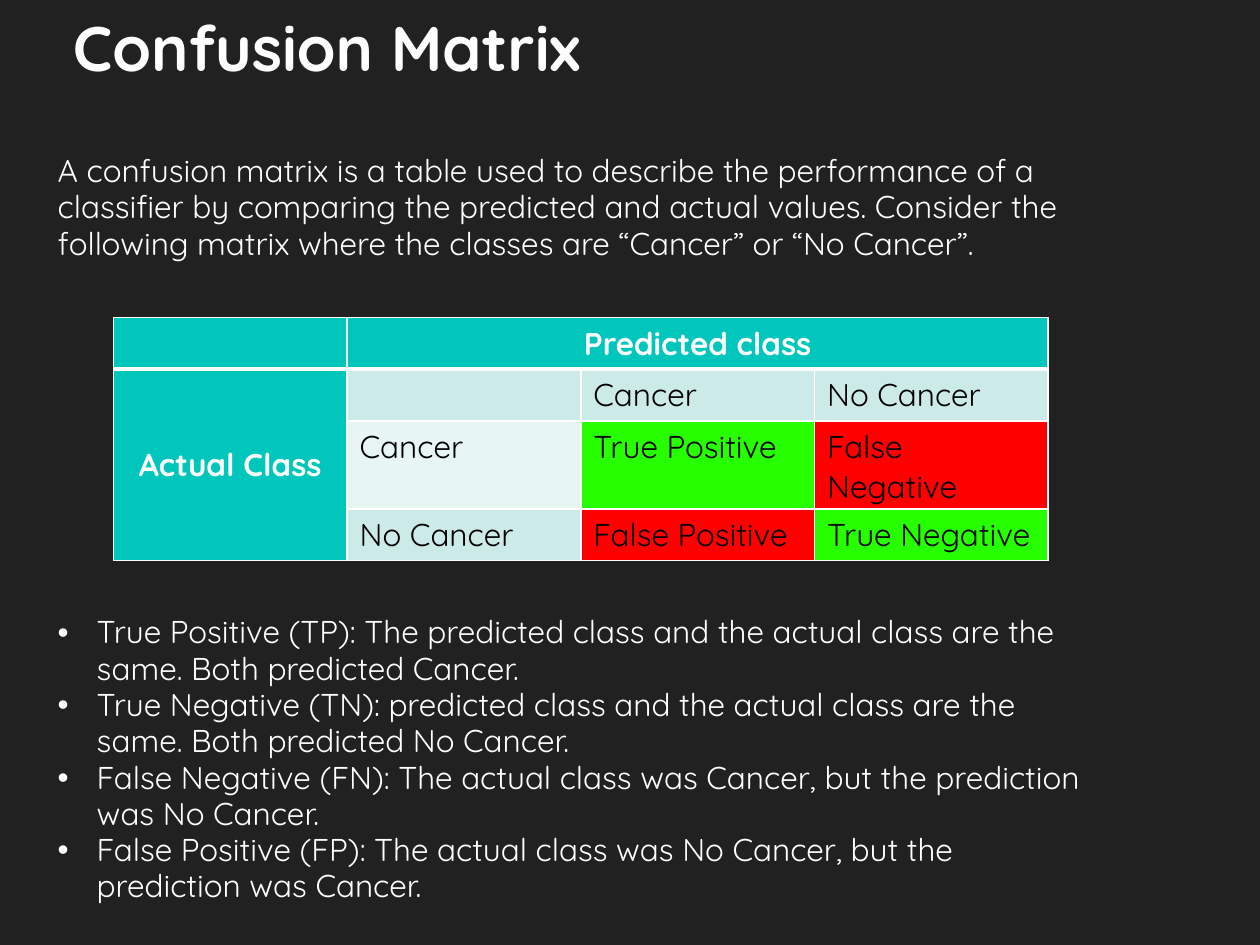
from dataclasses import dataclass

from lxml.etree import SubElement
from pptx import Presentation
from pptx.dml.color import RGBColor
from pptx.enum.text import MSO_ANCHOR as Anchor, MSO_AUTO_SIZE as AutoSize, PP_ALIGN as Align
from pptx.oxml.ns import qn
from pptx.util import Inches, Pt


@dataclass(frozen=True)
class Theme:
    """Colours, font and type sizes of the slide."""
    font: str = "Quicksand"
    background: str = "212121"
    title: str = "FEFEFE"
    light: str = "FFFFFF"
    dark: str = "000000"
    header: str = "00C6BB"
    band: str = "CCEAE7"
    pale: str = "E7F5F3"
    correct: str = "27FF00"
    wrong: str = "FF0000"
    title_size: int = 36
    body_size: int = 18


THEME = Theme()
INTRO = (
    "A confusion matrix is a table used to describe the performance of a classifier "
    "by comparing the predicted and actual values. Consider the following matrix "
    "where the classes are “Cancer” or “No Cancer”."
)
DEFINITIONS = [
    "True Positive (TP): The predicted class and the actual class are the same. "
    "Both predicted Cancer.",
    "True Negative (TN): predicted class and the actual class are the same. "
    "Both predicted No Cancer.",
    "False Negative (FN): The actual class was Cancer, but the prediction was No Cancer.",
    "False Positive (FP): The actual class was No Cancer, but the prediction was Cancer.",
]
MATRIX = [
    [("", THEME.header), ("Predicted class", THEME.header),
     ("", THEME.header), ("", THEME.header)],
    [("Actual Class", THEME.header), ("", THEME.band),
     ("Cancer", THEME.band), ("No Cancer", THEME.band)],
    [("", THEME.header), ("Cancer", THEME.pale),
     ("True Positive", THEME.correct), ("False Negative", THEME.wrong)],
    [("", THEME.header), ("No Cancer", THEME.band),
     ("False Positive", THEME.wrong), ("True Negative", THEME.correct)],
]


def add_run(paragraph, text, color, size=THEME.body_size, bold=False):
    """Add one formatted run and return it."""
    run = paragraph.add_run()
    run.text = text
    run.font.name = THEME.font
    run.font.size = Pt(size)
    run.font.bold = bold
    run.font.color.rgb = RGBColor.from_string(color)
    return run


def add_frame(slide, left, top, width, height):
    """Add a wrapping text box and return its text frame."""
    frame = slide.shapes.add_textbox(
        Inches(left), Inches(top), Inches(width), Inches(height)).text_frame
    frame.word_wrap = True
    return frame


def add_title(slide, text):
    """Add the heading with its soft text shadow."""
    frame = add_frame(slide, 0.48, 0, 9.52, 0.72)
    frame.vertical_anchor = Anchor.BOTTOM
    run = add_run(frame.paragraphs[0], text, THEME.title, THEME.title_size, True)
    effects = SubElement(run.font.fill._xPr, qn("a:effectLst"))
    shadow = SubElement(effects, qn("a:outerShdw"), blurRad="50800", dist="25400", dir="2700000")
    shade = SubElement(shadow, qn("a:srgbClr"), val=THEME.dark)
    SubElement(shade, qn("a:alpha"), val="50000")
    latin = run.font._rPr.find(qn("a:latin"))
    latin.addprevious(effects)


def add_bullet(paragraph):
    """Give a paragraph a hanging round bullet."""
    properties = paragraph._p.get_or_add_pPr()
    properties.set("marL", str(Inches(0.31)))
    properties.set("indent", str(-Inches(0.31)))
    SubElement(properties, qn("a:buFont"), typeface="Arial")
    SubElement(properties, qn("a:buChar"), char="•")


def add_body(slide, top, height, texts, bulleted=False):
    """Add a block of body paragraphs."""
    frame = add_frame(slide, 0.36, top, 8.5, height)
    frame.auto_size = AutoSize.SHAPE_TO_FIT_TEXT
    for index, text in enumerate(texts):
        paragraph = frame.add_paragraph() if index else frame.paragraphs[0]
        paragraph.line_spacing = 0.96
        if bulleted:
            add_bullet(paragraph)
        add_run(paragraph, text, THEME.light)


def set_borders(cell, row):
    """Draw white cell borders, heavier below the header row."""
    heavy_side = {0: "lnB", 1: "lnT"}.get(row)
    for side in ("lnL", "lnR", "lnT", "lnB"):
        weight = Pt(3 if side == heavy_side else 1)
        line = SubElement(cell._tc.get_or_add_tcPr(), qn(f"a:{side}"), w=str(weight))
        SubElement(SubElement(line, qn("a:solidFill")), qn("a:srgbClr"), val=THEME.light)


def fill_cell(cell, row, text, color):
    """Set the borders, fill and text of one cell."""
    set_borders(cell, row)
    cell.fill.solid()
    cell.fill.fore_color.rgb = RGBColor.from_string(color)
    if text:
        heading = color == THEME.header
        paragraph = cell.text_frame.paragraphs[0]
        paragraph.alignment = Align.CENTER if heading else Align.LEFT
        add_run(paragraph, text, THEME.light if heading else THEME.dark, bold=heading)


def add_matrix(slide):
    """Add the confusion matrix with its merged class headings."""
    table = slide.shapes.add_table(
        len(MATRIX), len(MATRIX[0]),
        Inches(0.9), Inches(2.52), Inches(7.42), Inches(1.64)).table
    for row, entries in enumerate(MATRIX):
        for column, (text, color) in enumerate(entries):
            fill_cell(table.cell(row, column), row, text, color)
    table.cell(0, 1).merge(table.cell(0, 3))
    actual_class = table.cell(1, 0)
    actual_class.merge(table.cell(3, 0))
    actual_class.vertical_anchor = Anchor.MIDDLE


def main():
    """Build and save the confusion matrix slide."""
    deck = Presentation()
    deck.slide_width, deck.slide_height = Inches(10), Inches(7.5)
    slide = deck.slides.add_slide(deck.slide_layouts[6])
    slide.background.fill.solid()
    slide.background.fill.fore_color.rgb = RGBColor.from_string(THEME.background)
    add_title(slide, "Confusion Matrix")
    add_body(slide, 1.17, 1.01, [INTRO])
    add_matrix(slide)
    add_body(slide, 4.83, 2.52, DEFINITIONS, bulleted=True)
    deck.save("out.pptx")


if __name__ == "__main__":
    main()
